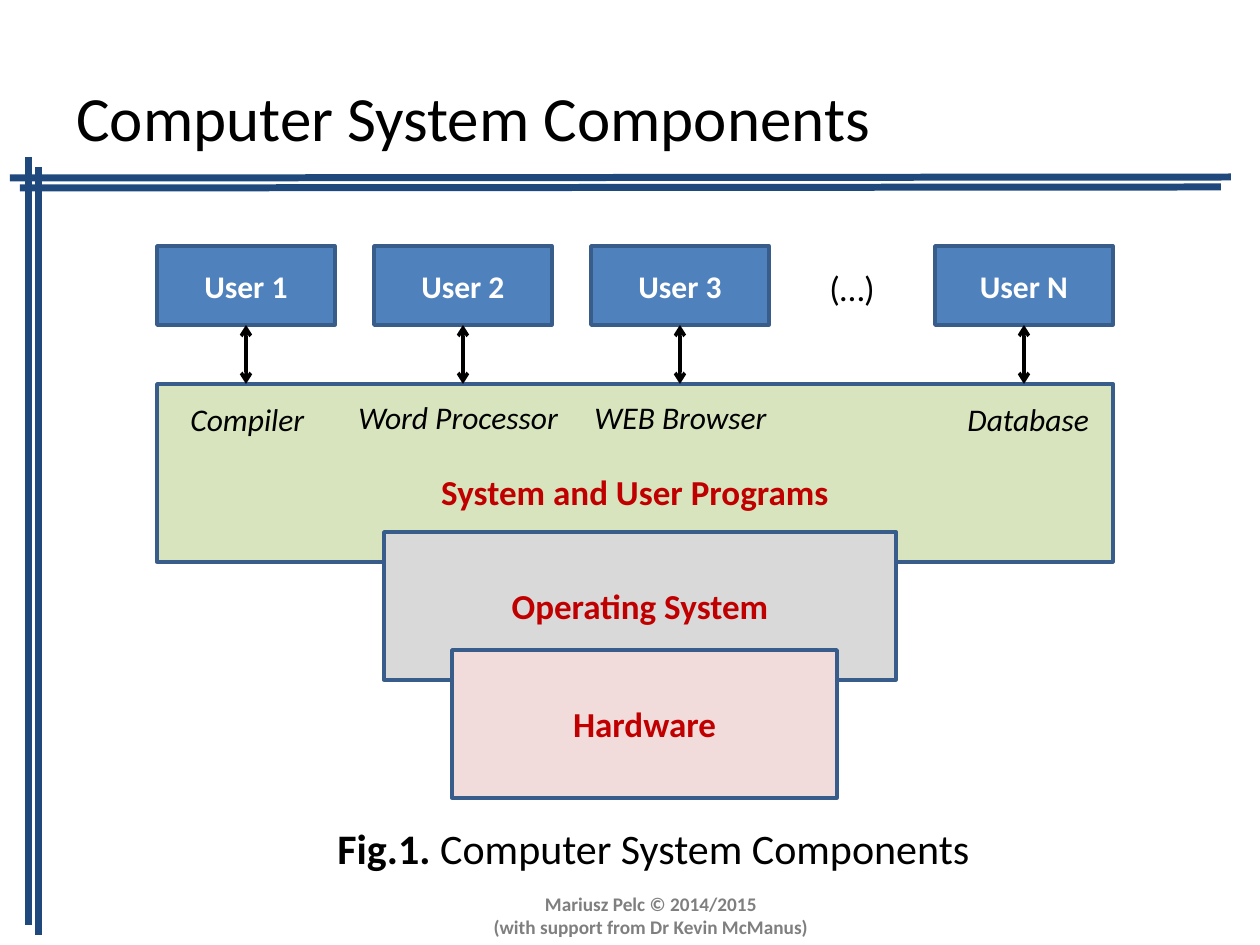
from collections import namedtuple

from lxml.etree import SubElement
from pptx import Presentation
from pptx.dml.color import RGBColor
from pptx.enum.shapes import MSO_CONNECTOR, MSO_SHAPE
from pptx.enum.text import MSO_ANCHOR, MSO_AUTO_SIZE, PP_ALIGN
from pptx.oxml.ns import qn
from pptx.util import Emu, Pt

BLACK = RGBColor(0x00, 0x00, 0x00)
WHITE = RGBColor(0xFF, 0xFF, 0xFF)
GRAY = RGBColor(0x7F, 0x7F, 0x7F)
RED = RGBColor(0xC0, 0x00, 0x00)
NAVY = RGBColor(0x1F, 0x49, 0x7D)
BLUE = RGBColor(0x4F, 0x81, 0xBD)
OUTLINE = RGBColor(0x38, 0x5D, 0x8A)
GREEN = RGBColor(0xD7, 0xE4, 0xBD)
SILVER = RGBColor(0xD9, 0xD9, 0xD9)
PINK = RGBColor(0xF2, 0xDC, 0xDB)

FONT = "Calibri"
PIXELS_PER_INCH = 126
Box = namedtuple("Box", "left top width height")


def px(length):
    return Emu(round(length * 914400 / PIXELS_PER_INCH))


def inside(box, left, top, width, height):
    return Box(box.left + left, box.top + top, width, height)


def add_span(para, text, size, color, bold=False, italic=False):
    span = para.add_run()
    span.text = text
    font = span.font
    font.name, font.size, font.bold, font.italic = FONT, Pt(size), bold, italic
    font.color.rgb = color


def add_label(page, box, text, size, color=BLACK, **style):
    """Add a one-line text box; more spans may follow in its first paragraph."""
    label = page.shapes.add_textbox(*map(px, box))
    frame = label.text_frame
    frame.word_wrap = False
    frame.auto_size = MSO_AUTO_SIZE.SHAPE_TO_FIT_TEXT
    add_span(frame.paragraphs[0], text, size, color, **style)
    return frame


def add_block(page, box, text, size, fill, color):
    block = page.shapes.add_shape(MSO_SHAPE.RECTANGLE, *map(px, box))
    block.shadow.inherit = False
    block.fill.solid()
    block.fill.fore_color.rgb = fill
    block.line.color.rgb = OUTLINE
    block.line.width = Pt(2)
    frame = block.text_frame
    frame.word_wrap = True
    frame.vertical_anchor = MSO_ANCHOR.MIDDLE
    para = frame.paragraphs[0]
    para.alignment = PP_ALIGN.CENTER
    add_span(para, text, size, color, bold=True)
    return block


def add_line(page, start, end, color, width):
    line = page.shapes.add_connector(
        MSO_CONNECTOR.STRAIGHT, *map(px, (*start, *end)))
    line.line.color.rgb = color
    line.line.width = Pt(width)
    SubElement(line._element.spPr, qn("a:effectLst"))
    return line


def add_arrowheads(line):
    outline = line.line._get_or_add_ln()
    for end in ("a:headEnd", "a:tailEnd"):
        SubElement(outline, qn(end)).set("type", "arrow")


def add_title(page, box):
    title = page.shapes.add_textbox(*map(px, box))
    frame = title.text_frame
    frame.word_wrap = True
    frame.vertical_anchor = MSO_ANCHOR.MIDDLE
    add_span(frame.paragraphs[0], "Computer System Components", 36, BLACK)


def add_frame_lines(page, box):
    # Two crossing pairs; the second line of each pair is inset by one step
    step = 10
    for shift in (0, step):
        x = box.left + 19 + shift
        add_line(page, (x, box.top + shift),
                 (x, box.top + box.height - step + shift), NAVY, 4)
    for shift in (0, step):
        y = box.top + 21 + shift
        add_line(page, (box.left + shift, y),
                 (box.left + box.width - shift, y - 1), NAVY, 4)


def add_layers(page, box):
    # Programs, operating system and hardware overlap from back to front
    programs = add_block(page, inside(box, 0, 138, box.width, 178),
                         "System and User Programs", 20, GREEN, RED)
    programs.text_frame.margin_top = px(44)
    add_block(page, inside(box, 227, 286, 512, 148),
              "Operating System", 20, SILVER, RED)
    add_block(page, inside(box, 295, 404, 385, 148),
              "Hardware", 20, PINK, RED)


def add_users(page, box):
    user_width, user_height, pitch = 178, 79, 217
    programs_top = 138
    last = box.width - user_width
    # User, its left edge, then its program with left, top and width
    users = (
        ("User 1", 0, "Compiler", 21, 148, 139),
        ("User 2", pitch, "Word Processor", 189, 146, 226),
        ("User 3", 2 * pitch, "WEB Browser", 425, 146, 198),
        ("User N", last, "Database", 798, 148, 147),
    )
    for name, left, program, label_left, label_top, label_width in users:
        user = add_block(page, inside(box, left, 0, user_width, user_height),
                         name, 18, BLUE, WHITE)
        add_label(page, inside(box, label_left, label_top, label_width, 50),
                  program, 18, italic=True)
        middle = box.left + left + user_width // 2
        arrow = add_line(page, (middle, box.top + user_height),
                         (middle, box.top + programs_top), BLACK, 2)
        arrow.begin_connect(user, 2)
        add_arrowheads(arrow)
    add_label(page, inside(box, 660, 14, 71, 55), "(…)", 20)


def add_caption(page, box):
    frame = add_label(page, box, "Fig.1. ", 24, bold=True)
    add_span(frame.paragraphs[0], "Computer System Components", 24, BLACK)


def add_footer(page, box):
    frame = add_label(page, box, "Mariusz Pelc © 2014/2015", 11, GRAY,
                      bold=True)
    add_span(frame.add_paragraph(), "(with support from Dr Kevin McManus)",
             11, GRAY, bold=True)
    for para in frame.paragraphs:
        para.alignment = PP_ALIGN.CENTER


def main():
    deck = Presentation()
    deck.slide_width, deck.slide_height = px(1260), px(945)
    page = deck.slides.add_slide(deck.slide_layouts[6])
    diagram = Box(157, 246, 956, 552)
    add_title(page, Box(64, 38, 965, 157))
    add_frame_lines(page, Box(10, 157, 1221, 778))
    add_layers(page, diagram)
    add_users(page, diagram)
    add_caption(page, Box(325, 816, 659, 64))
    add_footer(page, Box(481, 886, 340, 59))
    deck.save("out.pptx")


if __name__ == "__main__":
    main()
